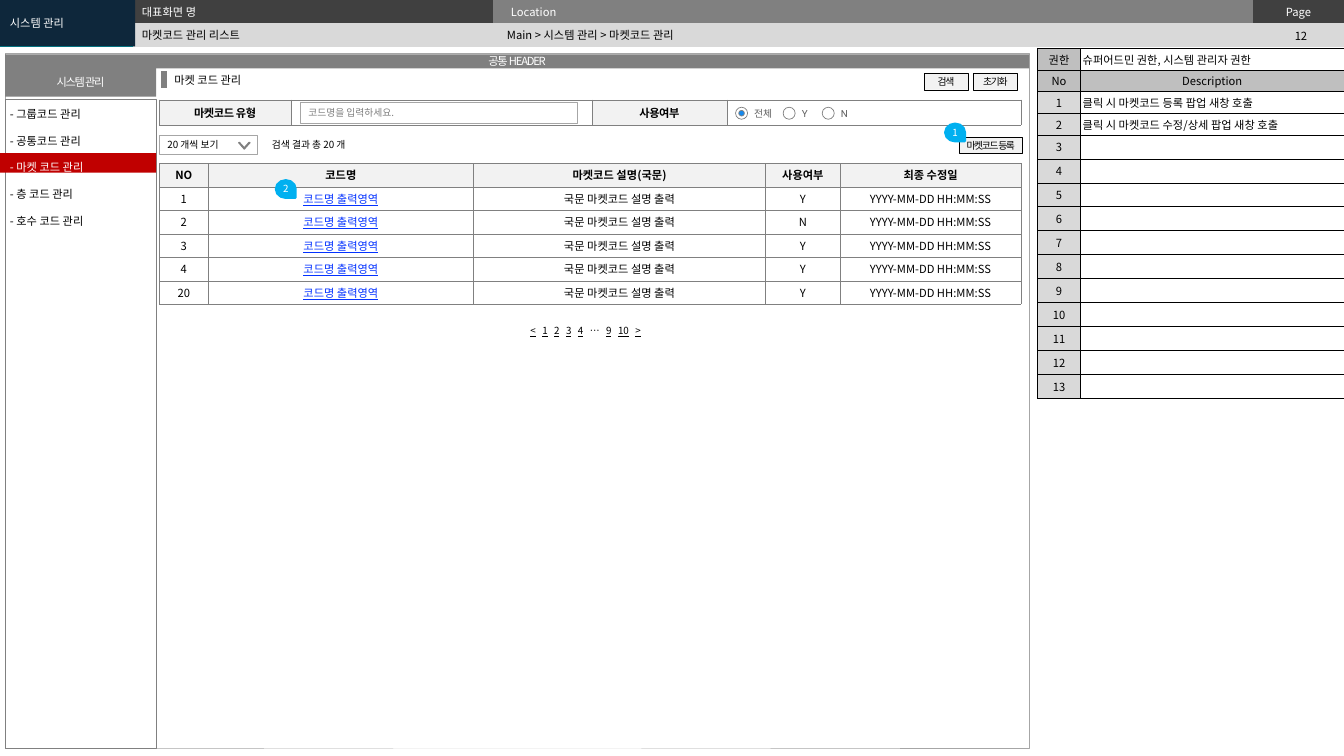
from lxml.etree import SubElement
from pptx import Presentation
from pptx.dml.color import RGBColor
from pptx.enum.shapes import MSO_CONNECTOR, MSO_SHAPE as SHAPE
from pptx.enum.text import MSO_ANCHOR as ANCHOR, PP_ALIGN as ALIGN
from pptx.oxml.ns import qn
from pptx.util import Pt

BLACK = RGBColor(0x00, 0x00, 0x00)
WHITE = RGBColor(0xFF, 0xFF, 0xFF)
CHARCOAL = RGBColor(0x40, 0x40, 0x40)
SLATE = RGBColor(0x5F, 0x5F, 0x5F)
GRAY = RGBColor(0x80, 0x80, 0x80)
MID = RGBColor(0xA6, 0xA6, 0xA6)
SILVER = RGBColor(0xBF, 0xBF, 0xBF)
LIGHT = RGBColor(0xD9, 0xD9, 0xD9)
PALE = RGBColor(0xF2, 0xF2, 0xF2)
NAVY = RGBColor(0x0E, 0x27, 0x3B)
TEAL = RGBColor(0x00, 0x9C, 0xA6)
LINK = RGBColor(0x04, 0x32, 0xFF)
DOT = RGBColor(0x15, 0x88, 0xEC)
SKY = RGBColor(0x00, 0xB0, 0xF0)
RED = RGBColor(0xC0, 0x00, 0x00)
CJK = "Noto Sans CJK KR"
CENTER = ALIGN.CENTER
NO_GRID = "{2D5ABB26-0587-4C30-8999-92F81FD0307C}"

prs = Presentation()
prs.slide_width, prs.slide_height = Pt(960), Pt(540)
slide = prs.slides.add_slide(prs.slide_layouts[6])
shapes = slide.shapes


def write(paragraph, text, size=8, color=BLACK, align=ALIGN.LEFT,
          bold=False, underline=False, spacing=0, font=CJK):
    paragraph.alignment = align
    run = paragraph.add_run()
    run.text = text
    run.font.size = Pt(size)
    run.font.bold = bold
    run.font.underline = underline
    run.font.color.rgb = color
    run.font.name = font
    props = run.font._element
    SubElement(props, qn("a:ea")).set("typeface", font)
    if spacing:
        props.set("spc", str(round(spacing * 100)))


def box(x, y, w, h, text="", kind=SHAPE.RECTANGLE, fill=None, line=None,
        weight=0.25, inset=7.2, **style):
    if fill is None and line is None:
        shape = shapes.add_textbox(Pt(x), Pt(y), Pt(w), Pt(h))
    else:
        shape = shapes.add_shape(kind, Pt(x), Pt(y), Pt(w), Pt(h))
        shape.shadow.inherit = False
        if fill is None:
            shape.fill.background()
        else:
            shape.fill.solid()
            shape.fill.fore_color.rgb = fill
        if line is None:
            shape.line.fill.background()
        else:
            shape.line.color.rgb = line
            shape.line.width = Pt(weight)
    frame = shape.text_frame
    frame.word_wrap = True
    frame.vertical_anchor = ANCHOR.MIDDLE
    frame.margin_left = frame.margin_right = Pt(inset)
    frame.margin_top = frame.margin_bottom = 0
    if text:
        write(frame.paragraphs[0], text, **style)
    return shape


# Cell contents: text, fill, style
centered = {"align": CENTER}
heading = {"align": CENTER, "bold": True}
label = {**heading, "spacing": -0.3}
header_cells = [
    [("", TEAL, {}), ("", CHARCOAL, {}), ("Location", GRAY, {"color": WHITE}),
     ("Page", CHARCOAL, {"color": WHITE, "align": CENTER})],
    [("", TEAL, {})] + [("", LIGHT, {})] * 3,
]
search_cells = [[("마켓코드 유형", PALE, label), ("", WHITE, {}),
                 ("사용여부", PALE, label), ("", WHITE, {})]]
result_heads = ["NO", "코드명", "마켓코드 설명(국문)", "사용여부", "최종 수정일"]
result_cells = [[(head, PALE, heading) for head in result_heads]]
for number, used in zip(["1", "2", "3", "4", "20"], "YNYYY"):
    result_cells.append([
        (number, WHITE, centered),
        ("코드명 출력영역", WHITE, {"align": CENTER, "color": LINK, "underline": True}),
        ("국문 마켓코드 설명 출력", WHITE, centered),
        (used, WHITE, centered),
        ("YYYY-MM-DD HH:MM:SS", WHITE, centered)])
notes = {1: "클릭 시 마켓코드 등록 팝업 새창 호출",
         2: "클릭 시 마켓코드 수정/상세 팝업 새창 호출"}
description_cells = [
    [("권한", SILVER, centered), ("슈퍼어드민 권한, 시스템 관리자 권한", None, {})],
    [("No", SILVER, centered), ("Description", SILVER, centered)]]
for number in range(1, 14):
    description_cells.append([(str(number), LIGHT, centered),
                              (notes.get(number, ""), None, {})])

# Frame of the mocked-up screen
box(3.6, 38.2, 731.5, 496, line=MID)

# Tables: left, top, columns, rows, cells, side margin, border colour and width
tables = [
    (0, 0, [95, 257, 543, 65], [16.8] * 2, header_cells, 13, None, 0),
    (113.8, 71.3, [94, 215, 96.5, 210], [18], search_cells, 7.2, GRAY, 0.25),
    (113.8, 116.6, [35, 189.5, 208.5, 53.5, 129], [16.8] * 6, result_cells, 7.2, GRAY, 0.25),
    (741, 34.5, [31, 188], [15.5] * 4 + [17.1] * 11, description_cells, 1.4, BLACK, 0.5),
]
for left, top, columns, rows, cells, margin, border, weight in tables:
    table = shapes.add_table(len(rows), len(columns), Pt(left), Pt(top),
                             Pt(sum(columns)), Pt(sum(rows))).table
    table.first_row = table.horz_banding = False
    table._tbl.tblPr.find(qn("a:tableStyleId")).text = NO_GRID
    for column, width in zip(table.columns, columns):
        column.width = Pt(width)
    for r, height in enumerate(rows):
        table.rows[r].height = Pt(height)
        for c, (text, fill, style) in enumerate(cells[r]):
            cell = table.cell(r, c)
            cell.vertical_anchor = ANCHOR.MIDDLE
            cell.margin_left = cell.margin_right = Pt(margin)
            cell.margin_top = cell.margin_bottom = 0
            paragraph = cell.text_frame.paragraphs[0]
            if text:
                write(paragraph, text, **style)
            else:
                SubElement(paragraph._p, qn("a:endParaRPr")).set("sz", "800")
            if border is not None:
                for side in ("a:lnL", "a:lnR", "a:lnT", "a:lnB"):
                    edge = SubElement(cell._tc.get_or_add_tcPr(), qn(side),
                                      w=str(Pt(weight)))
                    paint = SubElement(edge, qn("a:solidFill"))
                    SubElement(paint, qn("a:srgbClr"), val=str(border))
            if fill is None:
                cell.fill.background()
            else:
                cell.fill.solid()
                cell.fill.fore_color.rgb = fill
    if cells is header_cells:
        table.cell(0, 0).merge(table.cell(1, 0))

# Top bar
box(0, 0, 96.5, 33.1, "시스템 관리", fill=NAVY, color=WHITE)
box(94.3, 0.5, 260, 16, "대표화면 명", color=WHITE)
box(94.3, 17.3, 261, 16, "마켓코드 관리 리스트")
box(355, 16.6, 531, 17, "Main > 시스템 관리 > 마켓코드 관리")
box(898.6, 17.6, 61.4, 17, "12", align=CENTER)

# Screen header and title
tight = {"align": CENTER, "spacing": -0.9}
box(3.6, 38.9, 731.5, 10, "공통 HEADER", fill=GRAY, color=WHITE, **tight)
box(3.6, 48.2, 108, 20.9, "시스템 관리", fill=GRAY, color=WHITE, **tight)
box(3.6, 70.6, 108, 463.7, line=GRAY)
box(117.4, 48.5, 173, 17, "마켓 코드 관리")
title_mark = shapes.add_connector(MSO_CONNECTOR.STRAIGHT, Pt(117.4), Pt(51), Pt(117.4), Pt(62.6))
title_mark.line.color.rgb = GRAY
title_mark.line.width = Pt(4.5)
SubElement(title_mark._element.spPr, qn("a:effectLst"))

# Buttons
for x, y, w, caption in [(695.5, 52.5, 31, "초기화"), (660.3, 52.5, 31, "검색"),
                         (685, 98, 45.4, "마켓코드 등록")]:
    box(x, y, w, 11.6, caption, fill=PALE, line=BLACK, inset=0, size=7, **tight)

# Search input and radio buttons
box(214.5, 73.3, 198, 14.5, "코드명을 입력하세요.", fill=WHITE, line=MID, weight=0.5,
    inset=5.8, size=7, color=GRAY)
for x, choice in [(525.4, "전체"), (559.4, "Y"), (587.3, "N")]:
    box(x, 76.6, 8.6, 8.6, kind=SHAPE.OVAL, fill=WHITE, line=GRAY, weight=0.5)
    box(x + 7.5, 73.8, 32, 14.4, choice, inset=5.8, size=7, color=SLATE, font="Roboto")
box(527.7, 78.9, 4, 4, kind=SHAPE.OVAL, fill=DOT, line=GRAY, weight=0.5)

# Page size selector and result count
box(187.2, 95.5, 90, 16, "검색 결과 총 20 개", size=7)
box(113.8, 96.5, 70, 13.7, "20 개씩 보기", fill=WHITE, line=MID, weight=0.5,
    inset=5.8, size=7)
arrow = shapes.build_freeform(Pt(178.6), Pt(102), scale=1.0)
arrow.add_line_segments([(Pt(x), Pt(y)) for x, y in [
    (178, 101.6), (174.5, 105.5), (171, 101.6), (170.5, 102), (174.5, 106.6)]], close=True)
chevron = arrow.convert_to_shape()
chevron.shadow.inherit = False
chevron.fill.solid()
chevron.fill.fore_color.rgb = SLATE
chevron.line.color.rgb = GRAY
chevron.line.width = Pt(0.75)

# Pagination
pager = box(373, 229, 110, 14.4, inset=5.8).text_frame.paragraphs[0]
for position, page in enumerate(["<", "1", "2", "3", "4", "…", "9", "10", ">"]):
    if position:
        write(pager, " ", size=7, spacing=3.1)
    write(pager, page, size=7, underline=page != "…")

# Numbered callouts
for x, y, number in [(198, 128.2, "2"), (676.1, 87.8, "1")]:
    callout = box(x, y, 12.2, 13.7, number, kind=SHAPE.TEAR, fill=SKY, line=SKY, weight=2,
                  inset=0, size=7, color=WHITE, align=CENTER)
    callout.rotation = 90
    callout.text_frame._txBody.bodyPr.set("vert", "vert270")

# Side menu
box(0, 109.4, 111.6, 13.9, fill=RED)
menu = box(0, 67, 104, 98).text_frame
menu.vertical_anchor = ANCHOR.TOP
current = "마켓 코드 관리"
for position, entry in enumerate(["그룹코드 관리", "공통코드 관리", current,
                                  "층 코드 관리", "호수 코드 관리"]):
    item = menu.add_paragraph() if position else menu.paragraphs[0]
    item.line_spacing = Pt(19.1)
    write(item, "- " + entry, color=WHITE if entry == current else BLACK)

prs.save("out.pptx")
